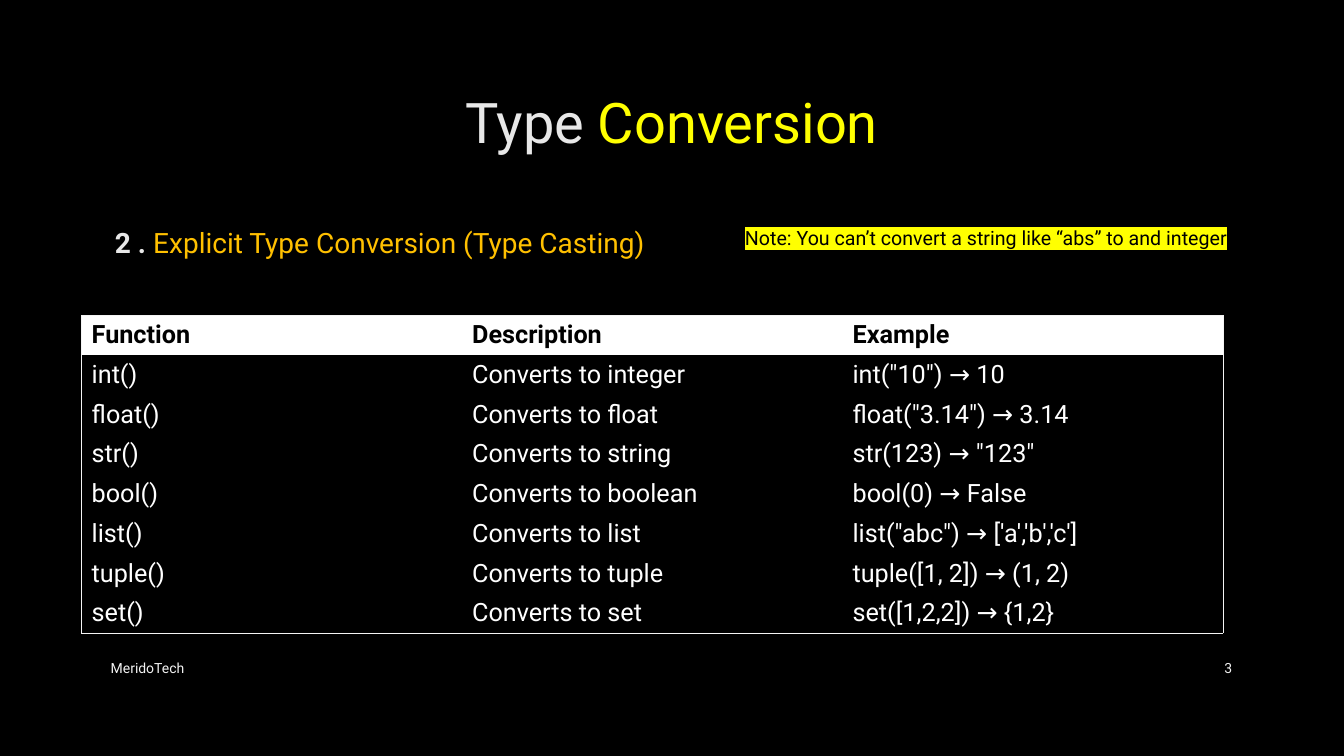
from dataclasses import dataclass

from lxml import etree
from pptx import Presentation
from pptx.dml.color import RGBColor
from pptx.enum.text import MSO_ANCHOR, MSO_AUTO_SIZE, PP_ALIGN
from pptx.oxml.ns import qn
from pptx.util import Inches, Pt

LEFT, CENTER, RIGHT = PP_ALIGN.LEFT, PP_ALIGN.CENTER, PP_ALIGN.RIGHT
TOP, MIDDLE = MSO_ANCHOR.TOP, MSO_ANCHOR.MIDDLE
NO_AUTOFIT = MSO_AUTO_SIZE.NONE
TITLE_AND_CONTENT = 1


@dataclass(frozen=True)
class Theme:
    font: str = "Roboto"
    background: str = "000000"
    heading: str = "E8E8E8"
    yellow: str = "FFFF00"
    amber: str = "FFC000"
    footer: str = "F2F2F2"
    border: str = "F4F4F4"
    white: str = "FFFFFF"
    black: str = "000000"
    title_size: int = 40
    subtitle_size: int = 20
    table_size: int = 18
    note_size: int = 14
    footer_size: int = 10
    border_width: float = 0.75


class SlideBuilder:
    def __init__(self, slide, theme):
        self.slide = slide
        self.theme = theme
        background = slide.background.fill
        background.solid()
        background.fore_color.rgb = RGBColor.from_string(theme.background)

    def add_run(self, paragraph, text, size, color, bold=False, highlight=None):
        run = paragraph.add_run()
        run.text = text
        font = run.font
        font.name, font.size, font.bold = self.theme.font, Pt(size), bold
        font.color.rgb = RGBColor.from_string(color)
        if highlight:
            mark = etree.Element(qn("a:highlight"))
            etree.SubElement(mark, qn("a:srgbClr"), val=highlight)
            run.font.fill._xPr.find(qn("a:solidFill")).addnext(mark)

    def format_frame(self, frame, anchor, align):
        frame.word_wrap = True
        frame.auto_size = NO_AUTOFIT
        frame.vertical_anchor = anchor
        paragraph = frame.paragraphs[0]
        paragraph.alignment = align
        return paragraph

    def placeholder(self, shape, box, anchor, align):
        shape.left, shape.top, shape.width, shape.height = map(Inches, box)
        return self.format_frame(shape.text_frame, anchor, align)

    def title(self, box, parts):
        paragraph = self.placeholder(self.slide.shapes.title, box, MIDDLE, CENTER)
        for text, color in parts:
            self.add_run(paragraph, text, self.theme.title_size, color)

    def subtitle(self, box, parts):
        paragraph = self.placeholder(self.slide.placeholders[1], box, TOP, LEFT)
        properties = paragraph._p.get_or_add_pPr()
        properties.set("marL", str(Inches(0.04)))
        properties.set("indent", "0")
        etree.SubElement(properties, qn("a:buNone"))
        paragraph.space_before = Pt(0)
        for text, color, bold in parts:
            self.add_run(paragraph, text, self.theme.subtitle_size, color, bold)

    def label(self, box, text, size, color, anchor=MIDDLE, align=LEFT, highlight=None):
        frame = self.slide.shapes.add_textbox(*map(Inches, box)).text_frame
        paragraph = self.format_frame(frame, anchor, align)
        self.add_run(paragraph, text, size, color, highlight=highlight)

    def cell_borders(self, cell, edges):
        properties = cell._tc.get_or_add_tcPr()
        for position, (side, visible) in enumerate(edges.items()):
            line = etree.Element(qn(f"a:ln{side}"), w=str(Pt(self.theme.border_width)))
            if visible:
                fill = etree.SubElement(line, qn("a:solidFill"))
                etree.SubElement(fill, qn("a:srgbClr"), val=self.theme.border)
            else:
                etree.SubElement(line, qn("a:noFill"))
            properties.insert(position, line)

    def table(self, left, top, width, row_height, rows):
        theme = self.theme
        last_row, last_column = len(rows) - 1, len(rows[0]) - 1
        grid = self.slide.shapes.add_table(
            len(rows), len(rows[0]), Inches(left), Inches(top),
            Inches(width), Inches(row_height * len(rows))).table
        grid.horz_banding = False
        for r, row in enumerate(rows):
            header = r == 0
            for c, text in enumerate(row):
                cell = grid.cell(r, c)
                cell.vertical_anchor = MIDDLE
                cell.fill.solid()
                cell.fill.fore_color.rgb = RGBColor.from_string(
                    theme.white if header else theme.background)
                self.cell_borders(cell, {"L": c == 0, "R": c == last_column,
                                         "T": header, "B": r == last_row})
                self.add_run(cell.text_frame.paragraphs[0], text, theme.table_size,
                             theme.black if header else theme.white, header)


CONVERSIONS = [
    ("Function", "Description", "Example"),
    ("int()", "Converts to integer", 'int("10") → 10'),
    ("float()", "Converts to float", 'float("3.14") → 3.14'),
    ("str()", "Converts to string", 'str(123) → "123"'),
    ("bool()", "Converts to boolean", "bool(0) → False"),
    ("list()", "Converts to list", "list(\"abc\") → ['a','b','c']"),
    ("tuple()", "Converts to tuple", "tuple([1, 2]) → (1, 2)"),
    ("set()", "Converts to set", "set([1,2,2]) → {1,2}"),
]


def main():
    theme = Theme()
    deck = Presentation()
    deck.slide_width, deck.slide_height = Inches(13.33), Inches(7.5)
    layout = deck.slide_layouts[TITLE_AND_CONTENT]
    page = SlideBuilder(deck.slides.add_slide(layout), theme)

    # Headings
    page.title((1, 0.67, 11.32, 1.06),
               [("Type ", theme.heading), ("Conversion", theme.yellow)])
    page.subtitle((1, 2.19, 11.32, 4.44),
                  [("2 . ", theme.heading, True),
                   ("Explicit Type Conversion (Type Casting)", theme.amber, False)])

    # Footer
    page.label((1, 6.43, 7.3, 0.4), "MeridoTech", theme.footer_size, theme.footer)
    page.label((11.5, 6.43, 0.82, 0.4), "3", theme.footer_size, theme.footer,
               align=RIGHT)

    # Conversion functions
    page.table(0.81, 3.13, 11.32, 0.39, CONVERSIONS)

    # Note
    page.label((7.29, 2.19, 5.05, 0.34),
               "Note: You can’t convert a string like “abs” to and integer",
               theme.note_size, theme.black, anchor=TOP, highlight=theme.yellow)

    deck.save("out.pptx")


if __name__ == "__main__":
    main()
